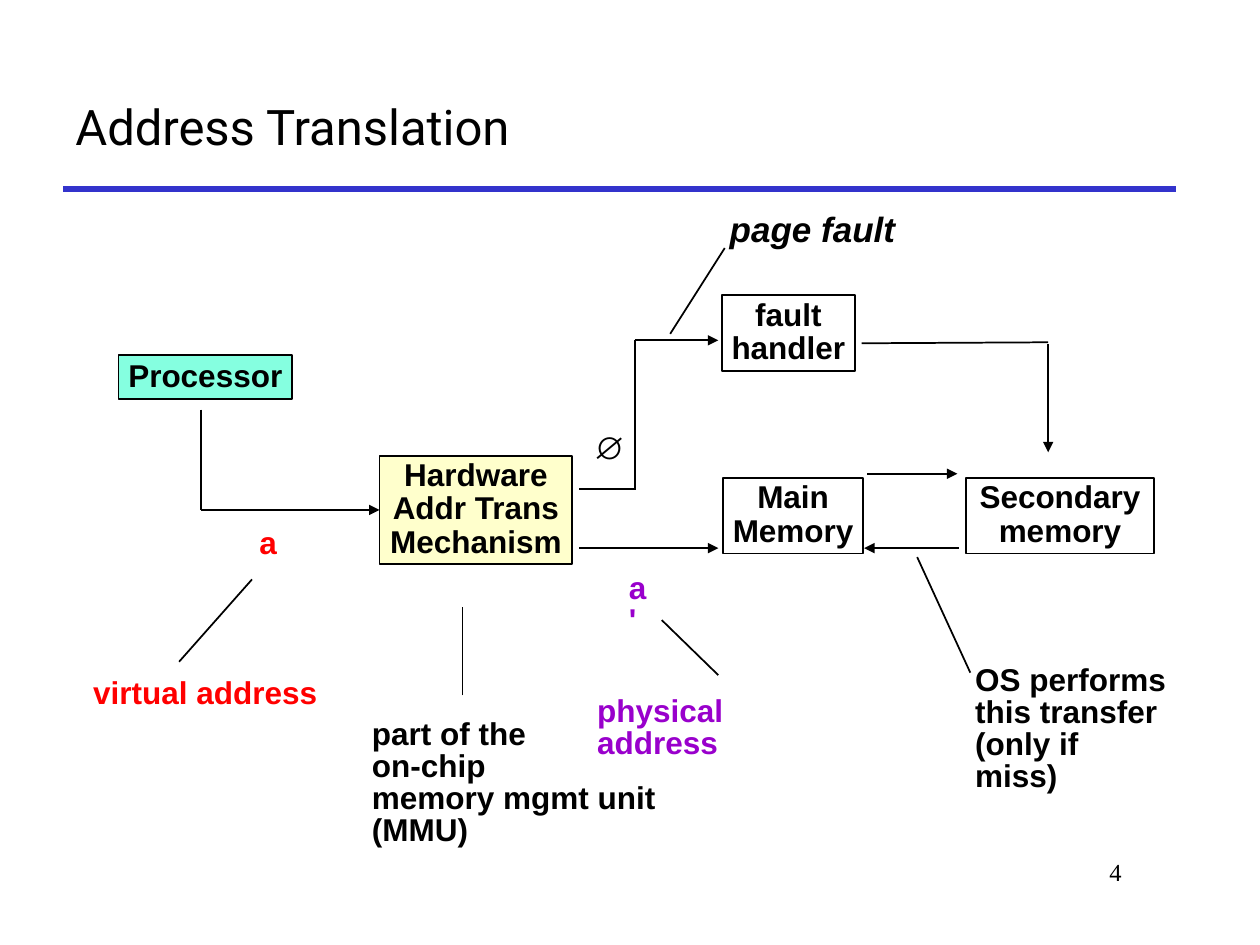
import lxml.etree
import pptx
import pptx.dml.color
import pptx.enum.shapes
import pptx.enum.text
import pptx.oxml.ns
import pptx.util

Cm = pptx.util.Cm
Pt = pptx.util.Pt
RGBColor = pptx.dml.color.RGBColor
ALIGN = pptx.enum.text.PP_ALIGN
ANCHOR = pptx.enum.text.MSO_ANCHOR
SHAPE = pptx.enum.shapes.MSO_SHAPE
LINE = pptx.enum.shapes.MSO_CONNECTOR
qn = pptx.oxml.ns.qn

BLACK = RGBColor(0x00, 0x00, 0x00)
BLUE = RGBColor(0x33, 0x33, 0xCC)
MINT = RGBColor(0x85, 0xFF, 0xE0)
CREAM = RGBColor(0xFF, 0xFF, 0xCC)
RED = RGBColor(0xFF, 0x00, 0x00)
PURPLE = RGBColor(0x99, 0x00, 0xCC)

deck = pptx.Presentation()
deck.slide_width = Cm(25.4)
deck.slide_height = Cm(19.05)
slide = deck.slides.add_slide(deck.slide_layouts[6])
shapes = slide.shapes


def write(shape, lines, size=18, color=BLACK, face="Arial", bold=True,
          slant=False, align=ALIGN.LEFT, space=0.85, wrap=True,
          anchor=ANCHOR.TOP, pad=(0.18, 0.08)):
    frame = shape.text_frame
    frame.word_wrap = wrap
    frame.vertical_anchor = anchor
    frame.margin_left = frame.margin_right = Cm(pad[0])
    frame.margin_top = frame.margin_bottom = Cm(pad[1])
    for i, line in enumerate(lines):
        para = frame.add_paragraph() if i else frame.paragraphs[0]
        para.alignment = align
        para.line_spacing = space
        run = para.add_run()
        run.text = line
        run.font.name = face
        run.font.size = Pt(size)
        run.font.bold = bold
        run.font.italic = slant
        run.font.color.rgb = color


def draw(x1, y1, x2, y2, head=False, width=1, color=BLACK):
    line = shapes.add_connector(LINE.STRAIGHT, Cm(x1), Cm(y1), Cm(x2), Cm(y2))
    line.line.color.rgb = color
    line.line.width = Pt(width)
    if head:
        end = lxml.etree.SubElement(line.line._get_or_add_ln(), qn("a:tailEnd"))
        end.set("type", "triangle")
    lxml.etree.SubElement(line._element.spPr, qn("a:effectLst"))
    return line


draw(1.27, 3.81, 23.7, 3.81, width=3, color=BLUE)
title = shapes.add_textbox(Cm(1.27), Cm(1.27), Cm(22.43), Cm(2.54))
write(title, ["Address Translation"], size=28, face="Roboto", bold=False,
      space=1.0, anchor=ANCHOR.MIDDLE, pad=(0.25, 0.13))
number = shapes.add_textbox(Cm(19.25), Cm(17.15), Cm(3.61), Cm(1.27))
write(number, ["4"], size=14, face="Times New Roman", bold=False,
      align=ALIGN.RIGHT, space=1.0, pad=(0.25, 0.13))

boxes = {}
for x, y, w, h, fill, wrap, space, lines in [
    (2.39, 7.16, 3.5, 0.88, MINT, False, 0.92, ["Processor"]),
    (7.65, 9.19, 3.89, 2.18, CREAM, True, 0.88,
     ["Hardware", "Addr Trans", "Mechanism"]),
    (14.55, 5.95, 2.69, 1.53, None, False, 0.88, ["fault", "handler"]),
    (14.58, 9.63, 2.82, 1.53, None, False, 0.88, ["Main", "Memory"]),
    (19.48, 9.63, 3.78, 1.53, None, True, 0.88, ["Secondary memory"]),
]:
    box = shapes.add_shape(SHAPE.RECTANGLE, Cm(x), Cm(y), Cm(w), Cm(h))
    box.shadow.inherit = False
    if fill:
        box.fill.solid()
        box.fill.fore_color.rgb = fill
    else:
        box.fill.background()
    box.line.color.rgb = BLACK
    box.line.width = Pt(1)
    write(box, lines, align=ALIGN.CENTER, space=space, wrap=wrap,
          anchor=ANCHOR.MIDDLE)
    boxes[lines[0]] = box

for ends in [
    (17.48, 9.55, 19.3, 9.55),
    (19.33, 11.05, 17.42, 11.05),
    (11.68, 11.05, 14.48, 11.05),
    (12.8, 6.86, 14.48, 6.86),
    (21.13, 6.93, 21.13, 9.12),
]:
    draw(*ends, head=True)

for ends in [
    (11.68, 9.86, 12.83, 9.86),
    (12.8, 9.86, 12.8, 6.86),
    (17.37, 6.92, 21.13, 6.9),
    (4.06, 8.26, 4.06, 10.28),
    (14.61, 5.0, 13.51, 6.73),
    (14.48, 13.61, 13.34, 12.5),
    (18.49, 11.23, 19.56, 13.56),
    (3.61, 13.34, 5.08, 11.68),
]:
    draw(*ends)

draw(9.32, 14.02, 9.32, 12.24, width=0.75)
entry = draw(4.06, 10.28, 7.65, 10.28, head=True)
entry.end_connect(boxes["Hardware"], 1)

for x, y, w, h, color, wrap, lines in [
    (5.05, 10.59, 0.71, 0.79, RED, False, ["a"]),
    (12.5, 11.48, 0.82, 1.4, PURPLE, True, ["a'"]),
    (11.79, 8.66, 0.89, 0.79, BLACK, False, ["∅"]),
    (11.86, 13.97, 3.2, 1.4, PURPLE, True, ["physical address"]),
    (19.48, 13.34, 4.27, 2.08, BLACK, False,
     ["OS performs", "this transfer", "(only if miss)"]),
    (1.7, 13.61, 4.93, 0.79, RED, False, ["virtual address"]),
    (7.32, 14.43, 8.18, 2.08, BLACK, False,
     ["part of the", "on-chip", "memory mgmt unit (MMU)"]),
]:
    label = shapes.add_textbox(Cm(x), Cm(y), Cm(w), Cm(h))
    write(label, lines, color=color, wrap=wrap)

fault = shapes.add_textbox(Cm(14.53), Cm(4.24), Cm(3.71), Cm(0.86))
write(fault, ["page fault"], size=20, slant=True, wrap=False)

deck.save("out.pptx")
